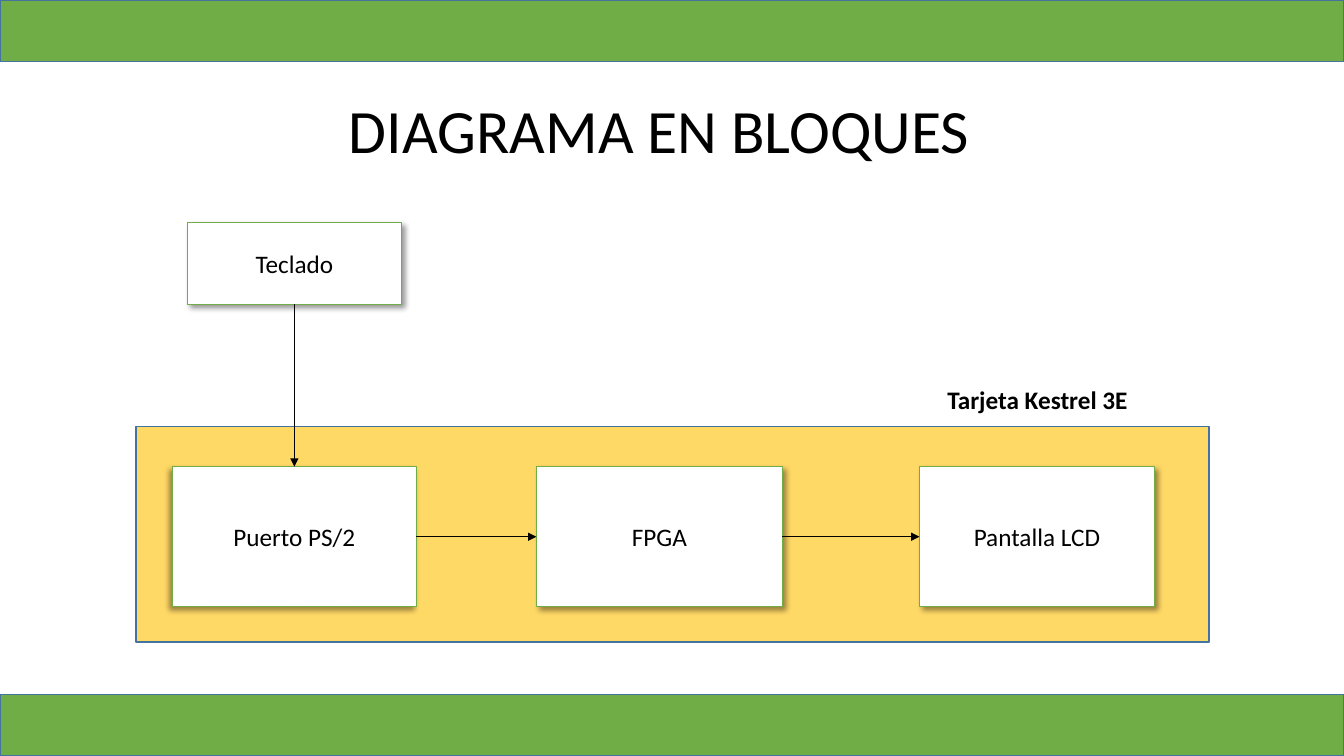
"""Build the block diagram slide for the keyboard, FPGA and LCD system."""
from dataclasses import dataclass

from lxml.etree import SubElement
from pptx import Presentation
from pptx.dml.color import RGBColor
from pptx.enum.shapes import MSO_CONNECTOR as Connector, MSO_SHAPE as Shape
from pptx.enum.text import MSO_ANCHOR as Anchor, PP_ALIGN as Align
from pptx.oxml.ns import qn
from pptx.util import Inches, Pt

TITLE = ("DIAGRAMA EN BLOQUES", (2.99, 0.86, 7.1, 0.84))
BOARD_LABEL = ("Tarjeta Kestrel 3E", (8.9, 3.76, 2.78, 0.4))
BOARD = (1.35, 4.23, 10.64, 2.14)
BLOCK_TOP, BLOCK_HEIGHT = 4.63, 1.39
KEYBOARD = ("Teclado", (1.86, 2.21, 2.12, 0.81), 45)
BOARD_BLOCKS = [
    ("Puerto PS/2", 1.71, 2.42, 135),
    ("FPGA", 5.32, 2.44, 45),
    ("Pantalla LCD", 9.12, 2.33, 45),
]
SLIDE_WIDTH, SLIDE_HEIGHT, BAND_HEIGHT = 13.33, 7.5, 0.61
TOP, LEFT, BOTTOM, RIGHT = range(4)


@dataclass(frozen=True)
class Theme:
    font: str = "Calibri"
    title_size: int = 44
    body_size: int = 18
    outline: float = 1
    arrow: float = 0.5
    black: str = "000000"
    white: str = "FFFFFF"
    green: str = "70AD47"
    yellow: str = "FFD966"
    blue: str = "43739E"


THEME = Theme()


def color(value):
    return RGBColor.from_string(value)


def add_shadow(effects, angle):
    shadow = SubElement(
        effects, qn("a:outerShdw"), blurRad=str(Pt(4)), dist=str(Pt(3)),
        dir=str(angle * 60000), algn="ctr", rotWithShape="0")
    shade = SubElement(shadow, qn("a:srgbClr"), val=THEME.black)
    SubElement(shade, qn("a:alpha"), val="40000")


def write(shape, text, size=THEME.body_size, bold=False):
    frame = shape.text_frame
    frame.word_wrap = True
    frame.vertical_anchor = Anchor.MIDDLE
    paragraph = frame.paragraphs[0]
    paragraph.alignment = Align.CENTER
    run = paragraph.add_run()
    run.text = text
    run.font.name = THEME.font
    run.font.size = Pt(size)
    run.font.bold = bold
    run.font.color.rgb = color(THEME.black)
    return run


def add_rectangle(slide, box, fill, line):
    shape = slide.shapes.add_shape(Shape.RECTANGLE, *map(Inches, box))
    shape.shadow.inherit = False
    shape.fill.solid()
    shape.fill.fore_color.rgb = color(fill)
    shape.line.color.rgb = color(line)
    shape.line.width = Pt(THEME.outline)
    return shape


def add_block(slide, text, box, angle):
    block = add_rectangle(slide, box, THEME.white, THEME.green)
    add_shadow(block.element.spPr.find(qn("a:effectLst")), angle)
    write(block, text)
    return block


def add_arrow(slide, start, start_side, end, end_side):
    arrow = slide.shapes.add_connector(Connector.STRAIGHT, 0, 0, 0, 0)
    arrow.begin_connect(start, start_side)
    arrow.end_connect(end, end_side)
    arrow.line.color.rgb = color(THEME.black)
    arrow.line.width = Pt(THEME.arrow)
    properties = arrow.element.spPr
    SubElement(properties.find(qn("a:ln")), qn("a:tailEnd"), type="triangle")
    SubElement(properties, qn("a:effectLst"))


def add_title(slide):
    text, box = TITLE
    title = slide.shapes.title
    title.left, title.top, title.width, title.height = map(Inches, box)
    run = write(title, text, THEME.title_size)
    properties = run.font._element
    effects = SubElement(properties, qn("a:effectLst"))
    properties.find(qn("a:solidFill")).addnext(effects)
    add_shadow(effects, 45)


def main():
    presentation = Presentation()
    presentation.slide_width = Inches(SLIDE_WIDTH)
    presentation.slide_height = Inches(SLIDE_HEIGHT)
    slide = presentation.slides.add_slide(presentation.slide_layouts[5])

    for top in (0, SLIDE_HEIGHT - BAND_HEIGHT):
        band = (0, top, SLIDE_WIDTH, BAND_HEIGHT)
        add_rectangle(slide, band, THEME.green, THEME.blue)
    add_title(slide)

    keyboard = add_block(slide, *KEYBOARD)
    add_rectangle(slide, BOARD, THEME.yellow, THEME.blue)
    blocks = [
        add_block(slide, text, (left, BLOCK_TOP, width, BLOCK_HEIGHT), angle)
        for text, left, width, angle in BOARD_BLOCKS
    ]
    add_arrow(slide, keyboard, BOTTOM, blocks[0], TOP)
    for start, end in zip(blocks, blocks[1:]):
        add_arrow(slide, start, RIGHT, end, LEFT)

    text, box = BOARD_LABEL
    label = slide.shapes.add_textbox(*map(Inches, box))
    write(label, text, bold=True)
    presentation.save("out.pptx")


if __name__ == "__main__":
    main()
